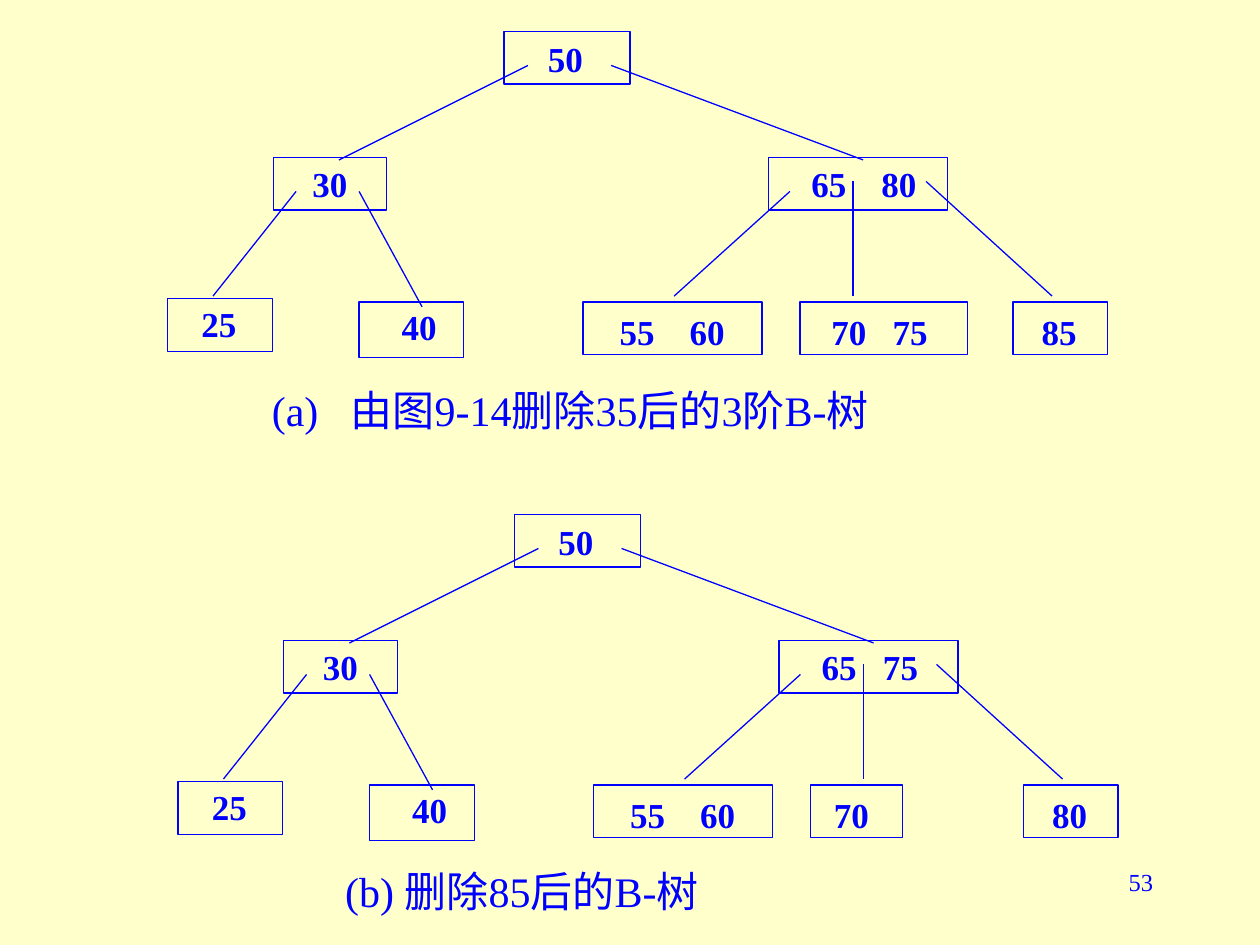
import pptx
import pptx.dml.color
import pptx.enum.shapes
import pptx.enum.text
import pptx.util
from lxml import etree

Pt = pptx.util.Pt
BLUE = pptx.dml.color.RGBColor(0x00, 0x00, 0xFF)
CREAM = pptx.dml.color.RGBColor(0xFF, 0xFF, 0xCC)
FONT = "Times New Roman"
KEY_SIZE, KEY_WIDTH, INSET = 20, 20, 7.2
LABEL_HEIGHT, CAPTION_HEIGHT = 31.7, 36

# Nodes: keys, box (left, top, width, height), label (left, top), step between keys
SHARED_NODES = [
    (["50"], (288, 18, 72, 30), (306, 18), 0),
    (["30"], (156.2, 90, 64.8, 30), (171.4, 89.5), 0),
    (["25"], (95.8, 170.8, 59.8, 30), (108, 169.5), 0),
    (["40"], (205.2, 172.6, 59.8, 31.7), (222.4, 170.9), 0),
    (["55", "60"], (333.2, 172.6, 102.2, 30), (347, 173.8), 40),
]
RIGHT_BOX, RIGHT_LABEL = (439.2, 90, 102.2, 30), (456.5, 89.5)
LAST_BOX, LAST_LABEL = (578.9, 172.6, 54, 30), (588.2, 173.8)

# Branches: parent end (x, y), child end (x, y)
BRANCHES = [
    ((301.7, 37.4), (193.7, 91.4)),
    ((349.2, 37.4), (493.2, 91.4)),
    ((169.2, 109.4), (121.7, 169.2)),
    ((205.2, 109.4), (241.2, 175.4)),
    ((451.4, 109.4), (385.2, 169.2)),
    ((487.4, 103.7), (487.4, 169.2)),
    ((529.2, 103.7), (601.2, 169.2)),
]

# Captions: text, place (left, top, width), tab stop
TREES = [
    {
        "origin": (0, 0),
        "nodes": [
            (["65", "80"], RIGHT_BOX, RIGHT_LABEL, 40),
            (["70", "75"], (457.2, 172.6, 95.8, 30), (468, 173.8), 35),
            (["85"], LAST_BOX, LAST_LABEL, 0),
        ],
        "caption": ("(a)\t由图9-14删除35后的3阶B-树", (148.3, 216, 412), 45),
    },
    {
        "origin": (6, 276),
        "nodes": [
            (["65", "75"], RIGHT_BOX, RIGHT_LABEL, 35),
            (["70"], (457.2, 172.6, 52.6, 30), (463.4, 173.8), 0),
            (["80"], LAST_BOX, LAST_LABEL, 0),
        ],
        "caption": ("(b) 删除85后的B-树", (190.1, 491, 256), 0),
    },
]
PAGE_NUMBER = ("53", (516.2, 491.8, 149.8, 36))


def add_text(shapes, text, box, size, bold=False, tab_stop=0):
    frame = shapes.add_textbox(*map(Pt, box)).text_frame
    frame.word_wrap = False
    frame.text = text
    paragraph = frame.paragraphs[0]
    if tab_stop:
        tabs = etree.SubElement(paragraph._p.get_or_add_pPr(), pptx.oxml.ns.qn("a:tabLst"))
        etree.SubElement(tabs, pptx.oxml.ns.qn("a:tab"), pos=str(Pt(tab_stop)), algn="l")
    paragraph.font.name = FONT
    paragraph.font.size = Pt(size)
    paragraph.font.bold = bold
    paragraph.font.color.rgb = BLUE
    return frame


def outline(shape):
    shape.line.color.rgb = BLUE
    shape.line.width = Pt(0.75)


def add_node(shapes, origin, keys, box, label, key_step):
    dx, dy = origin
    left, top, width, height = box
    node = shapes.add_shape(pptx.enum.shapes.MSO_SHAPE.RECTANGLE,
                            Pt(left + dx), Pt(top + dy), Pt(width), Pt(height))
    node.fill.background()
    node.shadow.inherit = False
    outline(node)
    label_width = KEY_WIDTH + key_step + 2 * INSET
    add_text(shapes, "\t".join(keys), (label[0] + dx, label[1] + dy, label_width, LABEL_HEIGHT),
             KEY_SIZE, bold=True, tab_stop=key_step)


def add_branch(shapes, origin, parent, child):
    dx, dy = origin
    branch = shapes.add_connector(pptx.enum.shapes.MSO_CONNECTOR.STRAIGHT,
                                  Pt(parent[0] + dx), Pt(parent[1] + dy),
                                  Pt(child[0] + dx), Pt(child[1] + dy))
    outline(branch)
    etree.SubElement(branch._element.spPr, pptx.oxml.ns.qn("a:effectLst"))


def main():
    deck = pptx.Presentation()
    deck.slide_width, deck.slide_height = Pt(720), Pt(540)
    slide = deck.slides.add_slide(deck.slide_layouts[6])
    slide.background.fill.solid()
    slide.background.fill.fore_color.rgb = CREAM

    for tree in TREES:
        shapes = slide.shapes.add_group_shape().shapes
        for node in SHARED_NODES + tree["nodes"]:
            add_node(shapes, tree["origin"], *node)
        for parent, child in BRANCHES:
            add_branch(shapes, tree["origin"], parent, child)
        caption, place, tab_stop = tree["caption"]
        add_text(shapes, caption, (*place, CAPTION_HEIGHT), 24, tab_stop=tab_stop)

    number, box = PAGE_NUMBER
    frame = add_text(slide.shapes, number, box, 14)
    frame.word_wrap = True
    frame.paragraphs[0].alignment = pptx.enum.text.PP_ALIGN.RIGHT
    deck.save("out.pptx")


if __name__ == "__main__":
    main()
